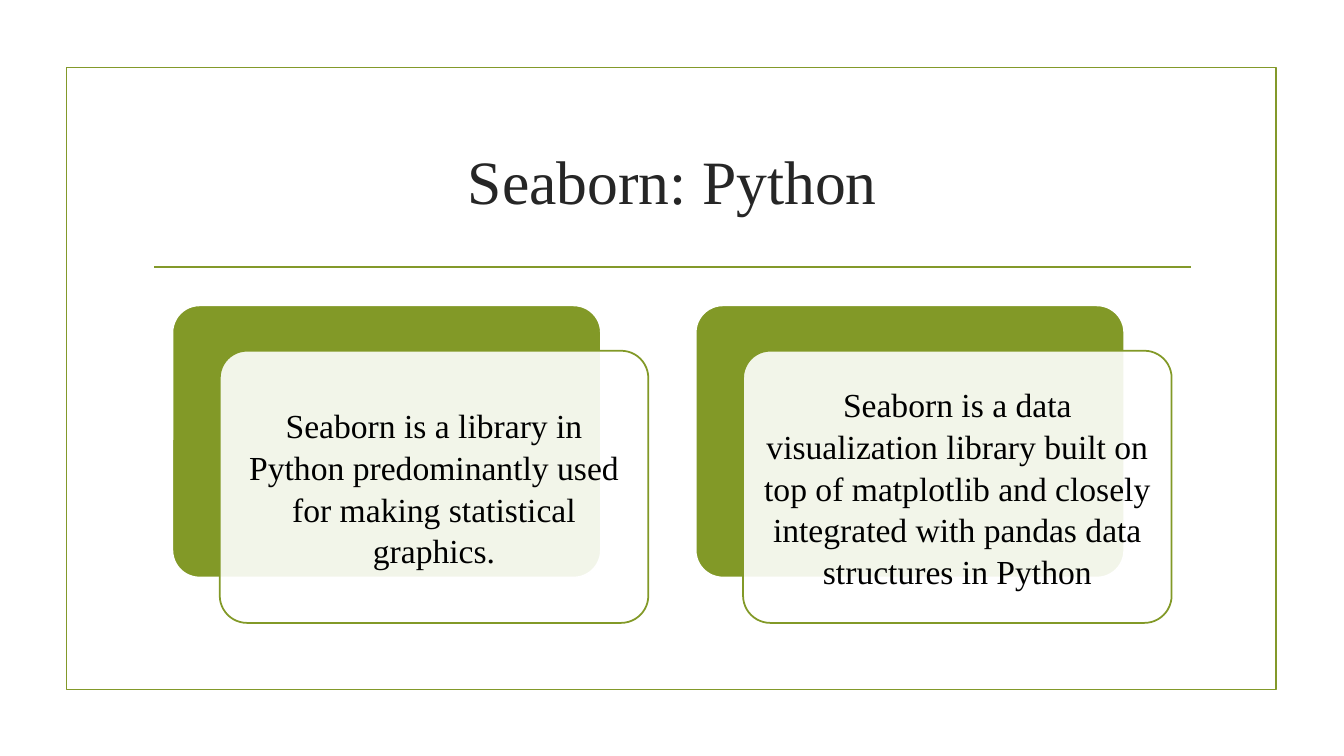
from dataclasses import dataclass

from lxml.etree import SubElement
from pptx import Presentation
from pptx.dml.color import RGBColor
from pptx.enum.shapes import MSO_CONNECTOR as Connector, MSO_SHAPE as Preset
from pptx.enum.text import MSO_ANCHOR as Anchor, MSO_AUTO_SIZE as AutoSize, PP_ALIGN as Align
from pptx.oxml.ns import qn
from pptx.shapes.autoshape import Shape
from pptx.slide import Slide
from pptx.text.text import TextFrame
from pptx.util import Inches, Pt


@dataclass(frozen=True)
class Theme:
    font: str = "Times New Roman"
    frame: RGBColor = RGBColor(0x83, 0x99, 0x2A)
    card: RGBColor = RGBColor(0x82, 0x99, 0x27)
    white: RGBColor = RGBColor(0xFF, 0xFF, 0xFF)
    title: RGBColor = RGBColor(0x26, 0x26, 0x26)
    body: RGBColor = RGBColor(0, 0, 0)
    title_size: int = 44
    body_size: int = 24
    stroke: float = 1.25
    card_opacity: int = 90


@dataclass(frozen=True)
class Box:
    left: float
    top: float
    width: float
    height: float

    def shifted(self, dx: float, dy: float = 0) -> "Box":
        return Box(self.left + dx, self.top + dy, self.width, self.height)

    def lengths(self) -> tuple[Inches, ...]:
        return tuple(Inches(n) for n in (self.left, self.top, self.width, self.height))


@dataclass(frozen=True)
class Card:
    text: str
    back: Box


THEME = Theme()
FRAME = Box(0.66, 0.67, 12, 6.17)
TITLE = Box(1.42, 1.07, 10.5, 1.43)
FIRST_CARD = Box(1.71, 3.03, 4.25, 2.7)
CARD_PITCH = 5.19
FRONT_OFFSET = (0.47, 0.45)
STATEMENTS = (
    "Seaborn is a library in Python predominantly used for making statistical graphics.",
    "Seaborn is a data visualization library built on top of matplotlib and closely "
    "integrated with pandas data structures in Python",
)
CARDS = [Card(text, FIRST_CARD.shifted(i * CARD_PITCH)) for i, text in enumerate(STATEMENTS)]


def write(frame: TextFrame, text: str, *, size: int, color: RGBColor,
          inset_y: float = 0.1, spacing: float = 1.0) -> None:
    frame.word_wrap = True
    frame.auto_size = AutoSize.NONE
    frame.vertical_anchor = Anchor.MIDDLE
    frame.margin_left = frame.margin_right = Inches(0.1)
    frame.margin_top = frame.margin_bottom = Inches(inset_y)
    paragraph = frame.paragraphs[0]
    paragraph.alignment = Align.CENTER
    paragraph.line_spacing = spacing
    run = paragraph.add_run()
    run.text = text
    run.font.name = THEME.font
    run.font.size = Pt(size)
    run.font.color.rgb = color


def add_panel(slide: Slide, preset: Preset, box: Box, line: RGBColor,
              fill: RGBColor | None = None) -> Shape:
    panel = slide.shapes.add_shape(preset, *box.lengths())
    panel.shadow.inherit = False
    panel.line.color.rgb = line
    panel.line.width = Pt(THEME.stroke)
    if fill is None:
        panel.fill.background()
    else:
        panel.fill.solid()
        panel.fill.fore_color.rgb = fill
    if preset == Preset.ROUNDED_RECTANGLE:
        panel.adjustments[0] = 0.1
    return panel


def add_divider(slide: Slide, left: float, right: float, y: float) -> None:
    divider = slide.shapes.add_connector(
        Connector.STRAIGHT, Inches(left), Inches(y), Inches(right), Inches(y))
    divider.line.color.rgb = THEME.frame
    divider.line.width = Pt(THEME.stroke)
    SubElement(divider.line._get_or_add_ln().getparent(), qn("a:effectLst"))


def add_title(slide: Slide, text: str) -> None:
    title = slide.shapes.title
    title.left, title.top, title.width, title.height = TITLE.lengths()
    write(title.text_frame, text, size=THEME.title_size, color=THEME.title, inset_y=0.05)


def add_card(slide: Slide, card: Card) -> None:
    add_panel(slide, Preset.ROUNDED_RECTANGLE, card.back, THEME.white, THEME.card)
    front = add_panel(slide, Preset.ROUNDED_RECTANGLE, card.back.shifted(*FRONT_OFFSET),
                      THEME.card, THEME.white)
    fill_color = front.fill._xPr.find(qn("a:solidFill"))[0]
    SubElement(fill_color, qn("a:alpha"), val=str(THEME.card_opacity * 1000))
    write(front.text_frame, card.text, size=THEME.body_size, color=THEME.body, spacing=1.04)


def main() -> None:
    deck = Presentation()
    deck.slide_width, deck.slide_height = Inches(13.33), Inches(7.5)
    slide = deck.slides.add_slide(deck.slide_layouts.get_by_name("Title Only"))
    add_panel(slide, Preset.RECTANGLE, FRAME, THEME.frame)
    add_divider(slide, 1.53, 11.81, 2.65)
    add_title(slide, "Seaborn: Python")
    for card in CARDS:
        add_card(slide, card)
    deck.save("out.pptx")


if __name__ == "__main__":
    main()
